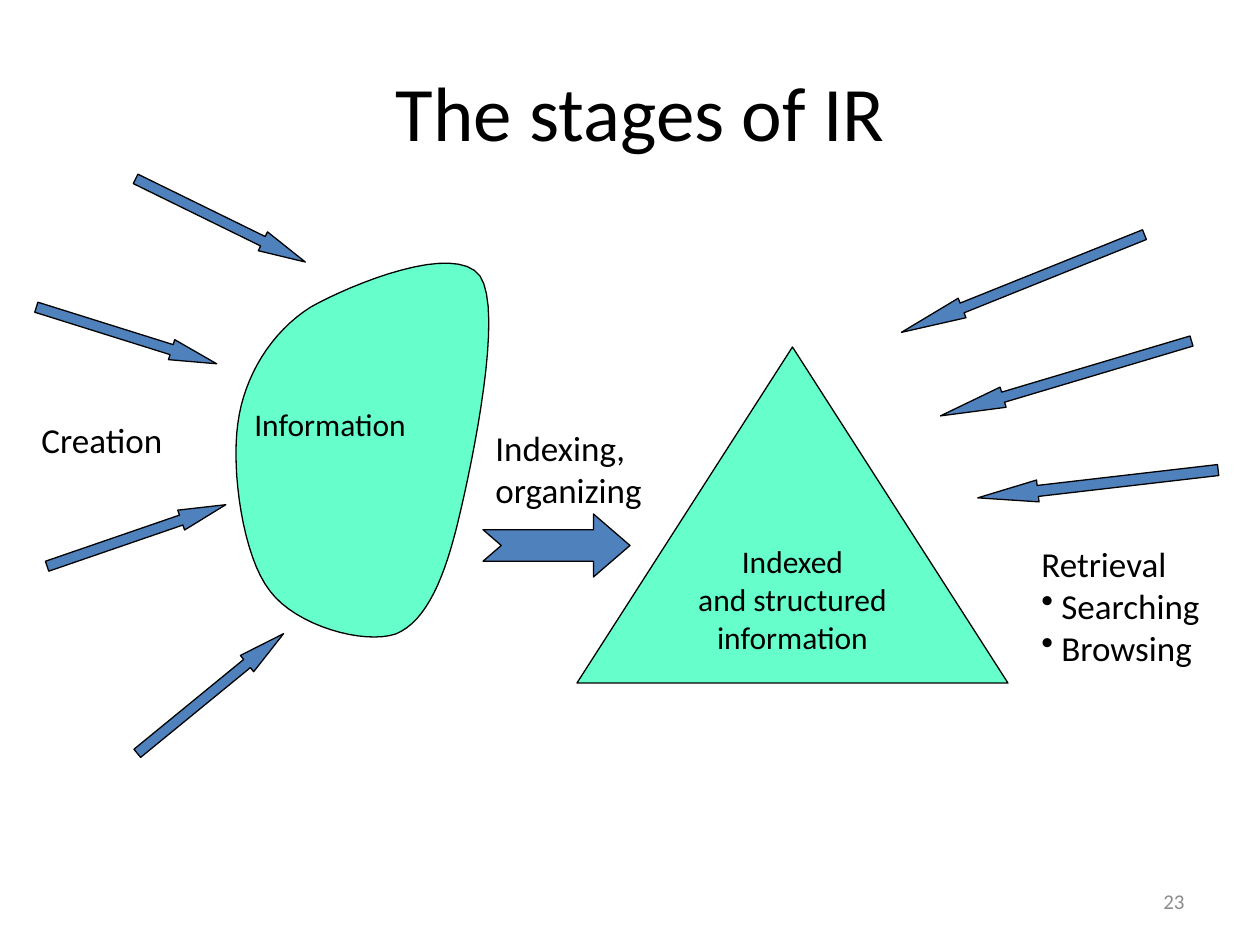
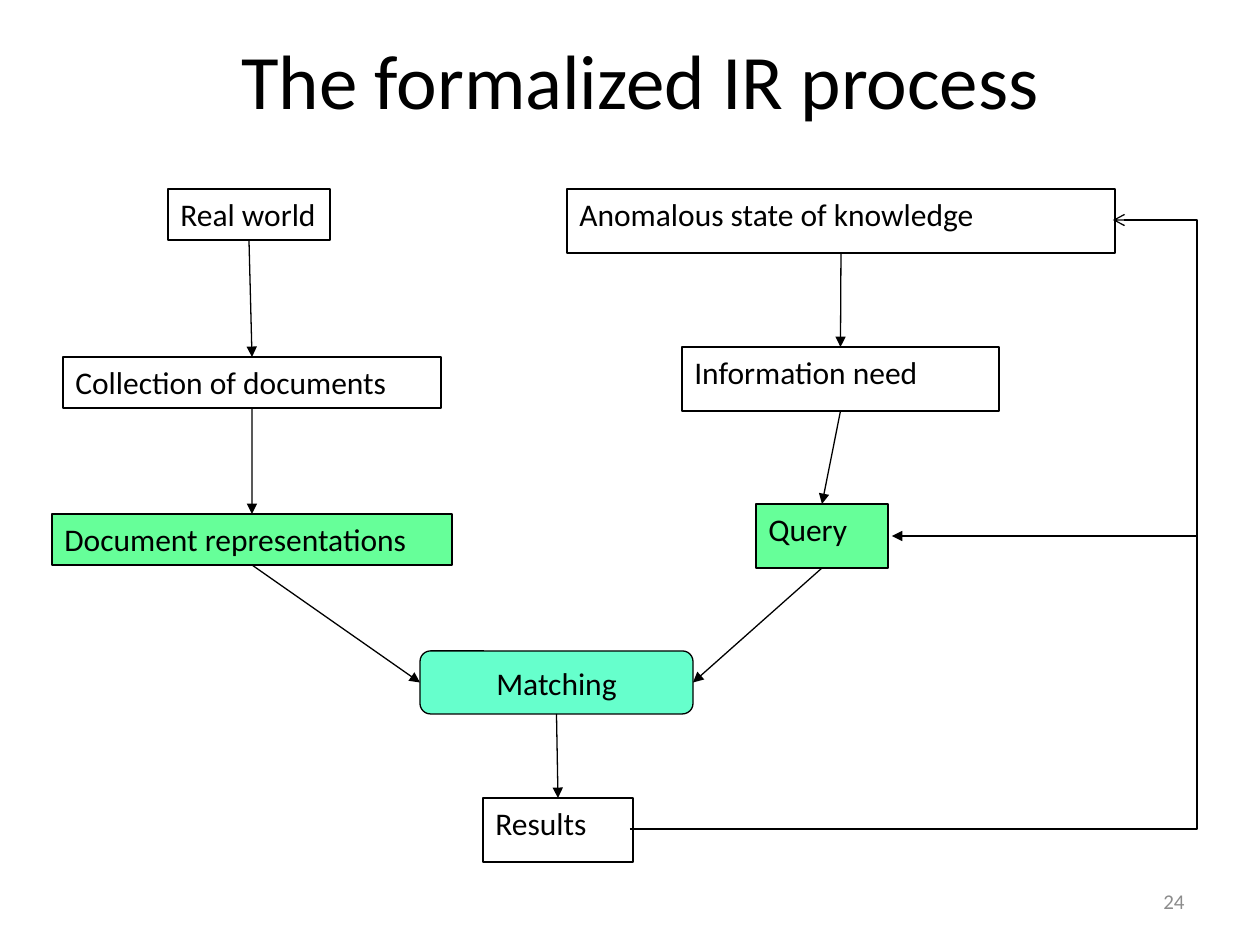
import dataclasses
import typing

import pptx
import pptx.dml.color
import pptx.enum.shapes
import pptx.enum.text
import pptx.oxml.ns
import pptx.oxml.xmlchemy
import pptx.util

RGB = pptx.dml.color.RGBColor
KIND = pptx.enum.shapes.MSO_SHAPE
LINK = pptx.enum.shapes.MSO_CONNECTOR
ALIGN = pptx.enum.text.PP_ALIGN
ANCHOR = pptx.enum.text.MSO_ANCHOR

BLACK = RGB(0x00, 0x00, 0x00)
GREY = RGB(0x8C, 0x8C, 0x8C)
BLUE = RGB(0x4F, 0x81, 0xBD)
MINT = RGB(0x66, 0xFF, 0xCC)
GREEN = RGB(0x66, 0xFF, 0x99)

FONT = "Calibri"
SCALE = 914400 / 126
TOP, LEFT, BOTTOM, RIGHT = range(4)
Point = tuple[int, int]
Area = tuple[int, int, int, int]


@dataclasses.dataclass(frozen=True)
class Style:
    """Look of a block of text."""
    size: int = 18
    color: RGB = BLACK
    align: ALIGN = ALIGN.LEFT
    anchor: ANCHOR = ANCHOR.TOP
    wrap: bool = True


@dataclasses.dataclass(frozen=True)
class Box:
    """Labelled step of the process."""
    text: str
    area: Area
    fill: RGB | None = None
    kind: KIND = KIND.RECTANGLE
    style: Style = Style()


@dataclasses.dataclass(frozen=True)
class Arrow:
    """Turned block arrow."""
    kind: KIND
    area: Area
    turn: float


BODY = Style()
MID = Style(align=ALIGN.CENTER, anchor=ANCHOR.MIDDLE, wrap=False)
HEAD = Style(44, align=ALIGN.CENTER, anchor=ANCHOR.MIDDLE)
FOOT = Style(12, GREY, ALIGN.RIGHT, ANCHOR.MIDDLE)
NOTE = Style(20)

ARROWS = (
    Arrow(KIND.RIGHT_ARROW, (126, 210, 189, 21), 26.1),
    Arrow(KIND.RIGHT_ARROW, (32, 325, 189, 21), 17.4),
    Arrow(KIND.RIGHT_ARROW, (42, 525, 189, 21), 341),
    Arrow(KIND.RIGHT_ARROW, (116, 683, 189, 21), 320.7),
    Arrow(KIND.LEFT_ARROW, (892, 273, 262, 21), 338.1),
    Arrow(KIND.LEFT_ARROW, (935, 368, 262, 21), 343.4),
    Arrow(KIND.LEFT_ARROW, (977, 473, 242, 22), 353.4),
)
NOTES = (
    (("Information",), (242, 399, 226, 63), BODY),
    (("Retrieval", "• Searching", "• Browsing"), (1029, 536, 192, 139), NOTE),
    (("Indexing,", "organizing"), (483, 420, 180, 97), NOTE),
    (("Creation",), (29, 412, 160, 54), NOTE),
)
START = (311, 307)
CURVES = (
    ((352, 284), (455, 242), (480, 276)),
    ((504, 311), (473, 459), (459, 518)),
    ((445, 577), (427, 621), (396, 634)),
    ((364, 645), (296, 626), (270, 591)),
    ((243, 557), (231, 471), (238, 423)),
    ((244, 377), (271, 332), START),
)
STEPS = {
    "docs": Box("Collection of documents", (63, 357, 378, 51)),
    "world": Box("Real world", (168, 189, 162, 51)),
    "reps": Box("Document representations", (52, 514, 400, 51), GREEN),
    "query": Box("Query", (756, 504, 132, 64), GREEN),
    "need": Box("Information need", (682, 347, 317, 64)),
    "state": Box("Anomalous state of knowledge", (567, 189, 548, 64)),
    "match": Box("Matching", (420, 651, 273, 63), MINT,
                 KIND.ROUNDED_RECTANGLE, MID),
    "result": Box("Results", (483, 798, 150, 64)),
}
LINKS = (
    ("world", "docs", TOP),
    ("docs", "reps", TOP),
    ("state", "need", TOP),
    ("need", "query", TOP),
    ("reps", "match", LEFT),
    ("query", "match", RIGHT),
    ("match", "result", TOP),
)
LOOP = ((630, 829), (1197, 829), (1197, 220), (1113, 220))


def emu(size: float) -> int:
    """Turn pixels into EMU."""
    return round(size * SCALE)


def put(item: typing.Any, form: dict[str, typing.Any]) -> None:
    """Set each format value on an item."""
    for name, value in form.items():
        setattr(item, name, value)


def node(parent: typing.Any, tag: str, **form: str) -> None:
    """Append a drawing element to a parent."""
    item = pptx.oxml.xmlchemy.OxmlElement(tag)
    for name, value in form.items():
        item.set(name, value)
    parent.append(item)


def write(shape: typing.Any, lines: typing.Sequence[str], style: Style) -> None:
    """Fill a shape with paragraphs, with bullets where marked."""
    frame = shape.text_frame
    put(frame, {"word_wrap": style.wrap, "vertical_anchor": style.anchor})
    for row, line in enumerate(lines):
        para = frame.paragraphs[0] if row == 0 else frame.add_paragraph()
        para.alignment = style.align
        if line.startswith("• "):
            props = para._p.get_or_add_pPr()
            props.set("marL", str(emu(20)))
            props.set("indent", str(emu(-20)))
            node(props, "a:buChar", char="•")
        run = para.add_run()
        run.text = line.removeprefix("• ")
        put(run.font, {"name": FONT, "size": pptx.util.Pt(style.size)})
        run.font.color.rgb = style.color


def label(slide: typing.Any, lines: typing.Sequence[str], area: Area,
          style: Style) -> None:
    """Add a text box."""
    write(slide.shapes.add_textbox(*map(emu, area)), lines, style)


def paint(shape: typing.Any, fill: RGB | None) -> None:
    """Give a shape its fill and a thin black outline."""
    shape.shadow.inherit = False
    if fill is None:
        shape.fill.background()
    else:
        shape.fill.solid()
        shape.fill.fore_color.rgb = fill
    edge(shape)


def edge(shape: typing.Any, tip: str = "") -> None:
    """Draw a thin black line, with an arrowhead if named."""
    shape.line.color.rgb = BLACK
    shape.line.width = pptx.util.Pt(0.75)
    if tip:
        line = shape.element.spPr.find(pptx.oxml.ns.qn("a:ln"))
        node(line, "a:tailEnd", type=tip)


def block(slide: typing.Any, kind: KIND, area: Area,
          fill: RGB | None) -> typing.Any:
    """Add a painted preset shape."""
    shape = slide.shapes.add_shape(kind, *map(emu, area))
    paint(shape, fill)
    return shape


def trace(slide: typing.Any, spots: typing.Sequence[tuple[float, float]],
          fill: RGB | None, close: bool) -> typing.Any:
    """Add an outline through points."""
    first, *rest = [(emu(x), emu(y)) for x, y in spots]
    pen = slide.shapes.build_freeform(*first)
    pen.add_line_segments(rest, close=close)
    shape = pen.convert_to_shape()
    paint(shape, fill)
    return shape


def bend(start: Point, curves: typing.Sequence[tuple[Point, Point, Point]],
         count: int = 16) -> list[tuple[float, float]]:
    """Sample a chain of cubic curves."""
    spots: list[tuple[float, float]] = [start]
    for one, two, end in curves:
        for step in range(1, count + 1):
            t = step / count
            u = 1 - t
            spots.append(tuple(
                u**3 * a + 3 * u * u * t * b + 3 * u * t * t * c + t**3 * d
                for a, b, c, d in zip(start, one, two, end)))
        start = end
    return spots


def wire(slide: typing.Any, start: Point, end: Point) -> typing.Any:
    """Add a straight line with a solid arrowhead."""
    line = slide.shapes.add_connector(
        LINK.STRAIGHT, *map(emu, (*start, *end)))
    edge(line, "triangle")
    node(line.element.spPr, "a:effectLst")
    return line


def page(deck: typing.Any, title: str, top: int, number: int) -> typing.Any:
    """Add a slide with its title and number."""
    slide = deck.slides.add_slide(deck.slide_layouts[6])
    label(slide, (title,), (105, top, 1071, 158), HEAD)
    label(slide, (str(number),), (903, 876, 294, 50), FOOT)
    return slide


def stages(deck: typing.Any) -> None:
    """Draw the stages slide."""
    slide = page(deck, "The stages of IR", 32, 23)
    cone = block(slide, KIND.ISOSCELES_TRIANGLE, (577, 347, 431, 336), MINT)
    write(cone, ("Indexed", "and structured", "information"), MID)
    trace(slide, bend(START, CURVES), MINT, True)
    for arrow in ARROWS:
        shape = block(slide, arrow.kind, arrow.area, BLUE)
        shape.rotation = arrow.turn
        shape.adjustments[1] = arrow.area[2] / arrow.area[3] / 4
    flow = block(slide, KIND.NOTCHED_RIGHT_ARROW, (483, 514, 147, 63), BLUE)
    flow.adjustments[1] = 0.58
    for lines, area, style in NOTES:
        label(slide, lines, area, style)


def process(deck: typing.Any) -> None:
    """Draw the process slide."""
    slide = page(deck, "The formalized IR process", 0, 24)
    shapes = {}
    for name, box in STEPS.items():
        shapes[name] = block(slide, box.kind, box.area, box.fill)
        write(shapes[name], (box.text,), box.style)
    for start, end, side in LINKS:
        line = wire(slide, (0, 0), (0, 0))
        line.begin_connect(shapes[start], BOTTOM)
        line.end_connect(shapes[end], side)
    edge(trace(slide, LOOP, None, False), "arrow")
    wire(slide, (1197, 536), (892, 536))


def main() -> None:
    """Build and save the deck."""
    deck = pptx.Presentation()
    put(deck, {"slide_width": emu(1260), "slide_height": emu(945)})
    stages(deck)
    process(deck)
    deck.save("out.pptx")


main()
